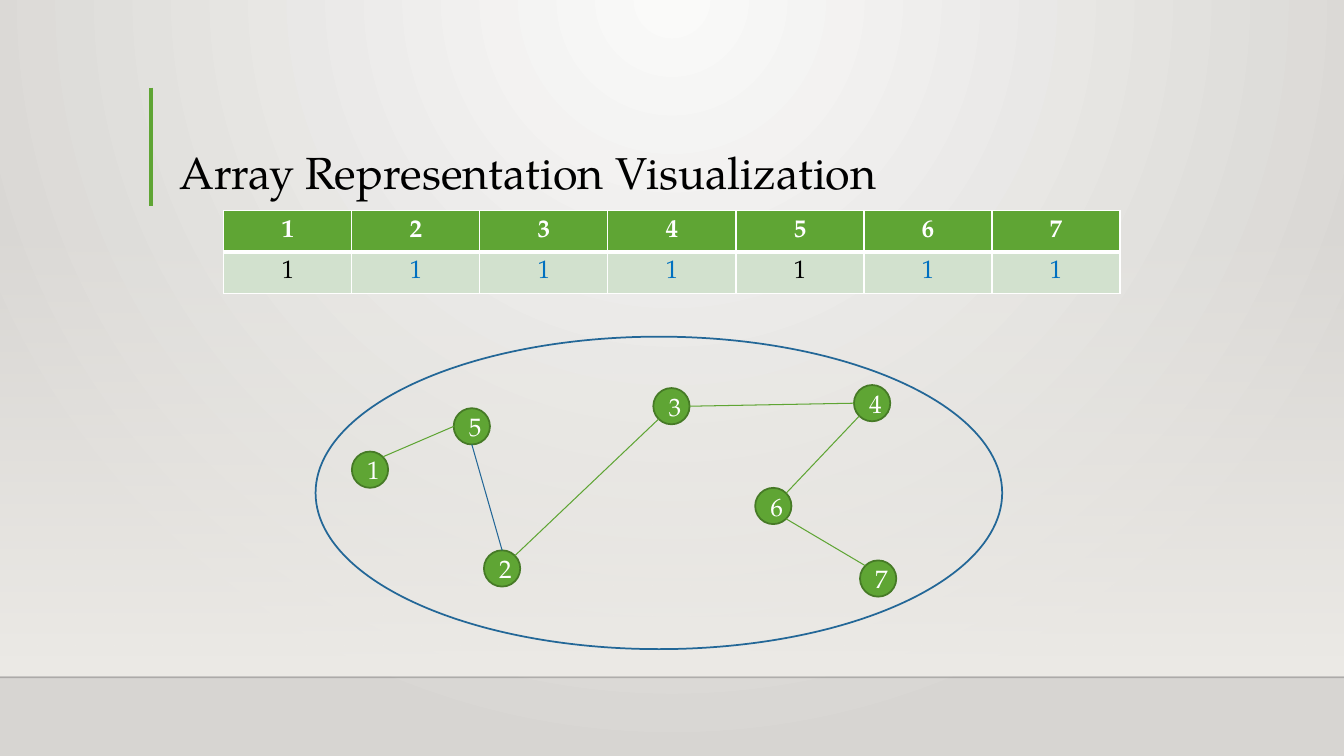
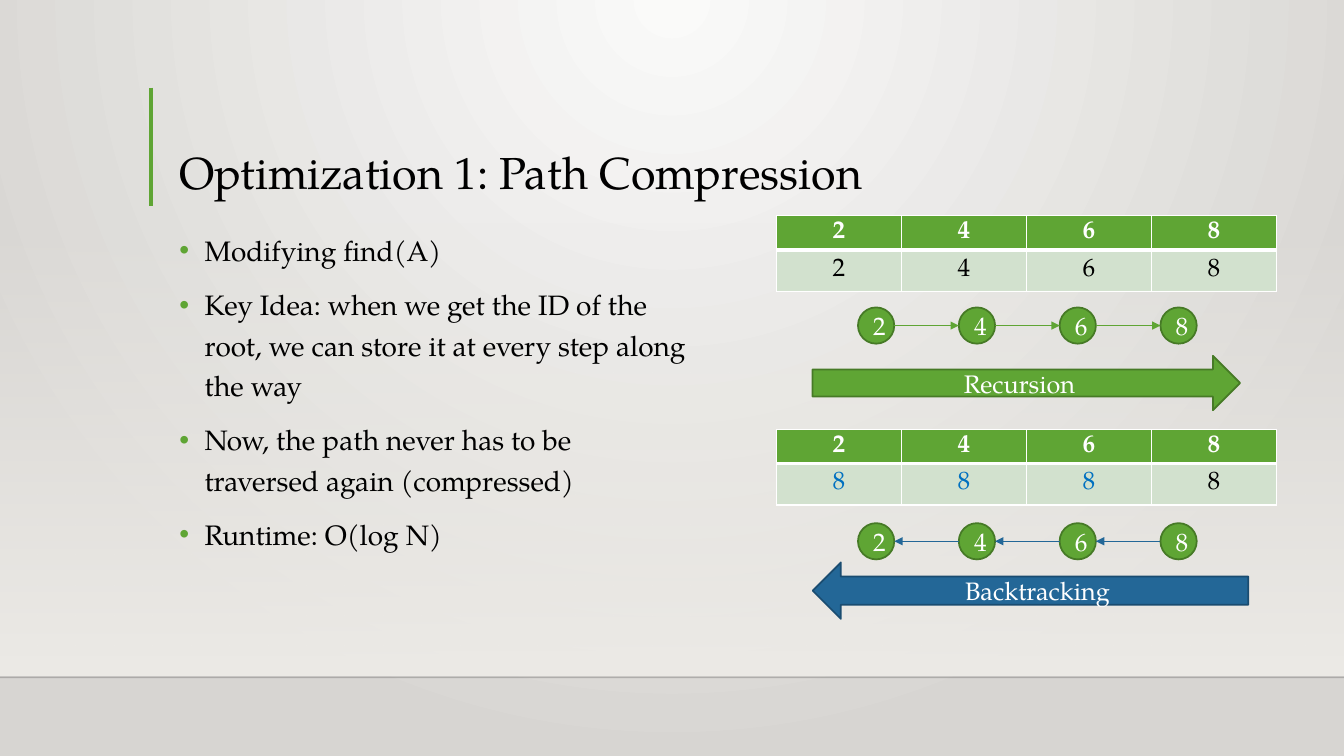
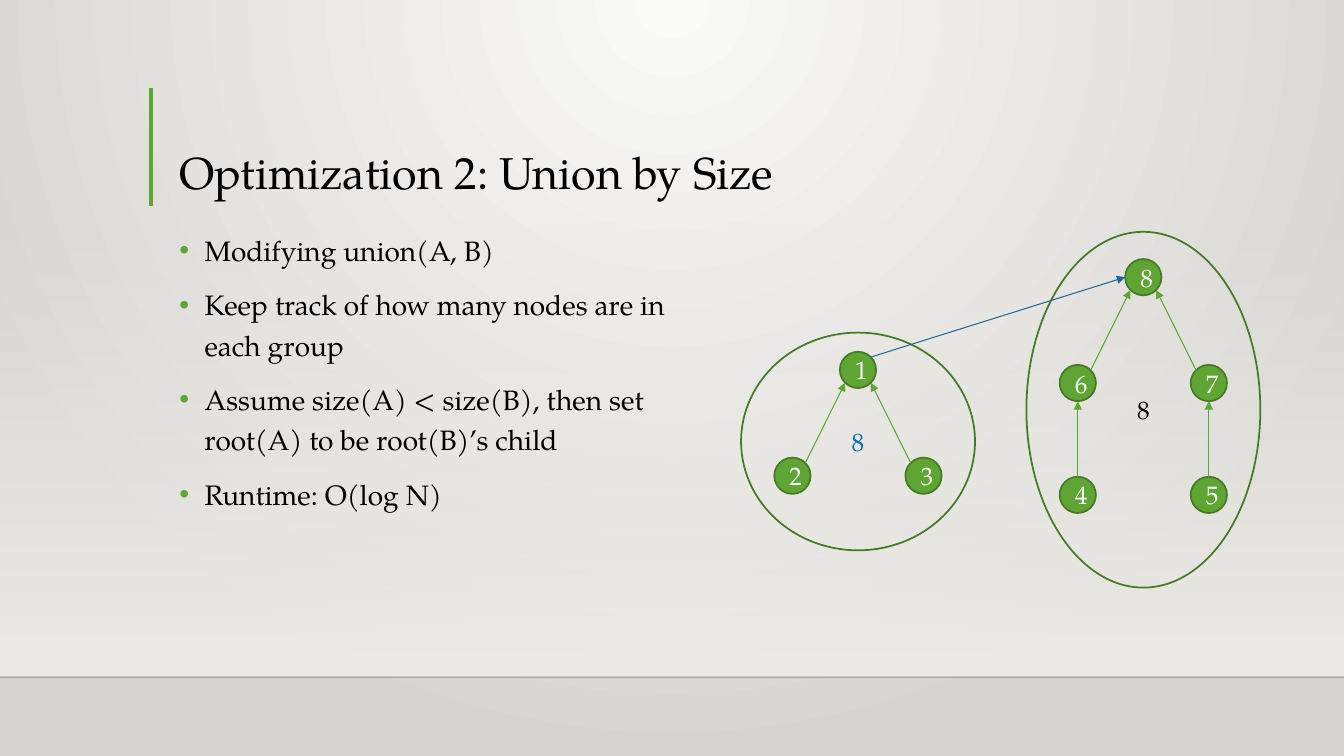
from lxml.etree import SubElement
from pptx import Presentation
from pptx.dml.color import RGBColor
from pptx.enum.shapes import MSO_CONNECTOR, MSO_SHAPE
from pptx.enum.text import MSO_ANCHOR, PP_ALIGN
from pptx.oxml.ns import qn
from pptx.util import Inches, Pt

BLACK = RGBColor(0, 0, 0)
WHITE = RGBColor(0xFF, 0xFF, 0xFF)
GREEN = RGBColor(0x5F, 0xA5, 0x34)
DARK_GREEN = RGBColor(0x46, 0x7A, 0x26)
PALE_GREEN = RGBColor(0xD2, 0xE1, 0xCE)
BLUE = RGBColor(0x23, 0x67, 0x97)
DARK_BLUE = RGBColor(0x1A, 0x4C, 0x70)
CHANGED = RGBColor(0x00, 0x70, 0xC0)
GLOW = RGBColor(0xFA, 0xFA, 0xF9)
EDGE_GREY = RGBColor(0xD7, 0xD5, 0xD2)
HAZE = RGBColor(0xED, 0xEB, 0xE7)

FONT = "TeX Gyre Pagella"
SLIDE_WIDTH, SLIDE_HEIGHT = 13.33, 7.5
NODE_SIZE = 0.36
DIAGONAL = 0.71
COMPASS = {
    "N": (0, -1), "S": (0, 1), "W": (-1, 0), "E": (1, 0),
    "NW": (-DIAGONAL, -DIAGONAL), "NE": (DIAGONAL, -DIAGONAL),
    "SW": (-DIAGONAL, DIAGONAL), "SE": (DIAGONAL, DIAGONAL),
}


def box(left, top, width, height):
    """Convert a box in inches to lengths."""
    return [Inches(length) for length in (left, top, width, height)]


def style(paragraph, size, color, bold=False):
    """Format every run of a paragraph."""
    for run in paragraph.runs:
        run.font.name = FONT
        run.font.size = Pt(size)
        run.font.bold = bold
        run.font.color.rgb = color


def set_alpha(fill_color, percent):
    """Make a colour element partly transparent."""
    SubElement(fill_color, qn("a:alpha"), val=str(percent * 1000))


def set_gradient(fill, start, end):
    """Apply a two-colour gradient running downwards."""
    fill.gradient()
    fill.gradient_angle = 270
    for stop, color in zip(fill.gradient_stops, (start, end)):
        stop.color.rgb = color


def paint_background(master):
    """Give all slides a round glow from the top centre."""
    set_gradient(master.background.fill, GLOW, EDGE_GREY)
    gradient = next(master.element.iter(qn("a:gradFill")))
    gradient.remove(gradient.find(qn("a:lin")))
    glow = SubElement(gradient, qn("a:path"), path="circle")
    SubElement(glow, qn("a:fillToRect"), l="43000", t="0", r="43000", b="100000")


def add_line(slide, start, end, color, weight=0.75, arrow=False):
    """Draw a straight line between two points."""
    line = slide.shapes.add_connector(MSO_CONNECTOR.STRAIGHT, *start, *end)
    line.line.color.rgb = color
    line.line.width = Pt(weight)
    if arrow:
        SubElement(line.line._get_or_add_ln(), qn("a:tailEnd"), type="triangle")
    SubElement(line._element.spPr, qn("a:effectLst"))
    return line


def add_outline(slide, preset, place, text="", fill=None, line=DARK_GREEN, color=WHITE):
    """Draw a preset shape with a thin outline and a centred label."""
    shape = slide.shapes.add_shape(preset, *box(*place))
    shape.shadow.inherit = False
    if fill is None:
        shape.fill.background()
    else:
        shape.fill.solid()
        shape.fill.fore_color.rgb = fill
    shape.line.color.rgb = line
    shape.line.width = Pt(1.25)
    if text:
        label = shape.text_frame.paragraphs[0]
        label.text = text
        label.alignment = PP_ALIGN.CENTER
        style(label, 18, color)
    return shape


def add_node(slide, label, left, top):
    """Draw a numbered graph node."""
    place = (left, top, NODE_SIZE, NODE_SIZE)
    return add_outline(slide, MSO_SHAPE.OVAL, place, label, GREEN)


def rim(node, direction):
    """Find the point on a node's rim in a compass direction."""
    across, down = COMPASS[direction]
    radius = node.width / 2
    return (round(node.left + radius * (1 + across)),
            round(node.top + radius * (1 + down)))


def link(slide, start, leave, end, enter, color=GREEN, arrow=True):
    """Join two nodes from rim to rim."""
    add_line(slide, rim(start, leave), rim(end, enter), color, arrow=arrow)


def add_frame(slide, title):
    """Draw the haze, floor line, accent bar and title."""
    haze = slide.shapes.add_shape(MSO_SHAPE.RECTANGLE, *box(0, 2.2, SLIDE_WIDTH, 4.5))
    haze.shadow.inherit = False
    haze.line.fill.background()
    set_gradient(haze.fill, HAZE, HAZE)
    set_alpha(next(haze._element.spPr.iter(qn("a:srgbClr"))), 0)
    floor_y = Inches(6.72)
    floor = add_line(slide, (0, floor_y), (Inches(SLIDE_WIDTH), floor_y), BLACK, 1)
    set_alpha(next(floor._element.spPr.iter(qn("a:srgbClr"))), 20)
    bar_x = Inches(1.5)
    add_line(slide, (bar_x, Inches(0.87)), (bar_x, Inches(2.04)), GREEN, 3)
    heading = slide.shapes.add_textbox(*box(1.68, 0.88, 10.41, 1.15)).text_frame
    heading.word_wrap = True
    heading.vertical_anchor = MSO_ANCHOR.BOTTOM
    heading.text = title
    heading.paragraphs[0].line_spacing = 0.9
    style(heading.paragraphs[0], 32, BLACK)


def add_bullets(slide, place, points):
    """Write a bulleted list into a box."""
    body = slide.shapes.add_textbox(*box(*place)).text_frame
    body.word_wrap = True
    body.text = "\n".join(points)
    for point in body.paragraphs:
        point.line_spacing = 1.2
        point.space_before = Pt(10)
        style(point, 20, BLACK)
        layout = point._p.get_or_add_pPr()
        layout.set("marL", str(Inches(0.25)))
        layout.set("indent", str(-Inches(0.25)))
        bullet_color = SubElement(layout, qn("a:buClr"))
        SubElement(bullet_color, qn("a:srgbClr"), val=str(GREEN))
        SubElement(layout, qn("a:buFont"), typeface="Arial")
        SubElement(layout, qn("a:buChar"), char="•")


def add_border(cell, side, weight):
    """Draw one white cell border."""
    border = SubElement(cell._tc.get_or_add_tcPr(), qn("a:ln" + side), w=str(Pt(weight)))
    paint = SubElement(border, qn("a:solidFill"))
    SubElement(paint, qn("a:srgbClr"), val=str(WHITE))


def add_array(slide, place, header_height, indices, values, changed):
    """Draw an array as indices above values, marking changed indices."""
    left, top, width, height = place
    grid = slide.shapes.add_table(2, len(indices), *box(*place)).table
    grid.rows[0].height = Inches(header_height)
    grid.rows[1].height = Inches(height - header_height)
    for column, (index, value) in enumerate(zip(indices, values)):
        grid.columns[column].width = Inches(width / len(indices))
        value_color = CHANGED if index in changed else BLACK
        rows = ((index, GREEN, WHITE, True, {"L": 1, "R": 1, "T": 1, "B": 3}),
                (value, PALE_GREEN, value_color, False, {"L": 1, "R": 1, "B": 1}))
        for row, (text, fill, color, bold, borders) in enumerate(rows):
            cell = grid.cell(row, column)
            for side, weight in borders.items():
                add_border(cell, side, weight)
            cell.fill.solid()
            cell.fill.fore_color.rgb = fill
            cell.vertical_anchor = MSO_ANCHOR.MIDDLE
            cell.margin_top = cell.margin_bottom = Inches(0.02)
            entry = cell.text_frame.paragraphs[0]
            entry.text = text
            entry.alignment = PP_ALIGN.CENTER
            style(entry, 18, color, bold)


def add_component(slide, left, top):
    """Draw the connected component with its seven nodes."""
    add_outline(slide, MSO_SHAPE.OVAL, (left, top, 6.81, 3.1), line=BLUE)
    offsets = {"1": (0.36, 1.14), "2": (1.67, 2.12), "3": (3.35, 0.51),
               "4": (5.34, 0.48), "5": (1.37, 0.71), "6": (4.36, 1.5),
               "7": (5.4, 2.22)}
    nodes = {label: add_node(slide, label, left + across, top + down)
             for label, (across, down) in offsets.items()}
    edges = (("6", "SE", "7", "NW", GREEN), ("5", "W", "1", "NE", GREEN),
             ("3", "E", "4", "W", GREEN), ("4", "SW", "6", "NE", GREEN),
             ("2", "NE", "3", "SW", GREEN), ("2", "N", "5", "S", BLUE))
    for start, leave, end, enter, color in edges:
        link(slide, nodes[start], leave, nodes[end], enter, color, arrow=False)


def add_chain(slide, left, top, labels, color, backwards=False):
    """Draw a row of nodes linked in one direction."""
    nodes = [add_node(slide, label, left + step, top) for step, label in enumerate(labels)]
    for near, far in zip(nodes, nodes[1:]):
        if backwards:
            link(slide, far, "W", near, "E", color)
        else:
            link(slide, near, "E", far, "W", color)


def add_tree(slide, place, root_drop, levels, size, size_color):
    """Draw a tree in its oval and return the root node."""
    left, top, width, height = place
    add_outline(slide, MSO_SHAPE.OVAL, place, size, color=size_color)
    middle = left + (width - NODE_SIZE) / 2
    root = add_node(slide, levels[0], middle, top + root_drop)
    for side, toward_root, root_side in ((0, "NE", "SW"), (1, "NW", "SE")):
        parent, leave, enter = root, toward_root, root_side
        for level, drop in zip(levels[1:], (1.05, 2.16)):
            child = add_node(slide, level[side], middle + (side * 2 - 1) * 0.65,
                             top + root_drop + drop)
            link(slide, child, leave, parent, enter)
            parent, leave, enter = child, "N", "S"
    return root


def build_array_slide(slide):
    """Show the array and the component it describes."""
    add_frame(slide, "Array Representation Visualization")
    add_array(slide, (2.22, 2.09, 8.89, 0.82), 0.41, "1234567", "1111111", "23467")
    add_component(slide, 3.13, 3.34)


def build_compression_slide(slide):
    """Explain path compression."""
    add_frame(slide, "Optimization 1: Path Compression")
    add_bullets(slide, (1.68, 2.2, 5.25, 3.77), (
        "Modifying find(A)",
        "Key Idea: when we get the ID of the root, we can store it at every step along the way",
        "Now, the path never has to be traversed again (compressed)",
        "Runtime: O(log N)"))
    left, indices = 7.7, "2468"
    for top, values, changed in ((2.14, indices, ""), (4.26, "8888", "246")):
        add_array(slide, (left, top, 4.96, 0.75), 0.34, indices, values, changed)
    add_chain(slide, left + 0.81, 3.05, indices, GREEN)
    add_outline(slide, MSO_SHAPE.RIGHT_ARROW, (left + 0.36, 3.53, 4.24, 0.54),
                "Recursion", GREEN)
    add_chain(slide, left + 0.81, 5.19, indices, BLUE, backwards=True)
    add_outline(slide, MSO_SHAPE.LEFT_ARROW, (left + 0.36, 5.58, 4.32, 0.56),
                "Backtracking", BLUE, DARK_BLUE)


def build_union_slide(slide):
    """Explain union by size."""
    add_frame(slide, "Optimization 2: Union by Size")
    add_bullets(slide, (1.68, 2.2, 5.22, 3.77), (
        "Modifying union(A, B)",
        "Keep track of how many nodes are in each group",
        "Assume size(A) < size(B), then set root(A) to be root(B)’s child",
        "Runtime: O(log N)"))
    small_root = add_tree(slide, (7.35, 3.3, 2.32, 2.16), 0.19, ("1", "23"), "8", CHANGED)
    large_root = add_tree(slide, (10.18, 2.3, 2.32, 3.53), 0.27, ("8", "67", "45"), "8", BLACK)
    link(slide, small_root, "NE", large_root, "W", BLUE)


def main():
    """Build and save the presentation."""
    deck = Presentation()
    deck.slide_width, deck.slide_height = Inches(SLIDE_WIDTH), Inches(SLIDE_HEIGHT)
    paint_background(deck.slide_master)
    for build in (build_array_slide, build_compression_slide, build_union_slide):
        build(deck.slides.add_slide(deck.slide_layouts[6]))
    deck.save("out.pptx")


main()
